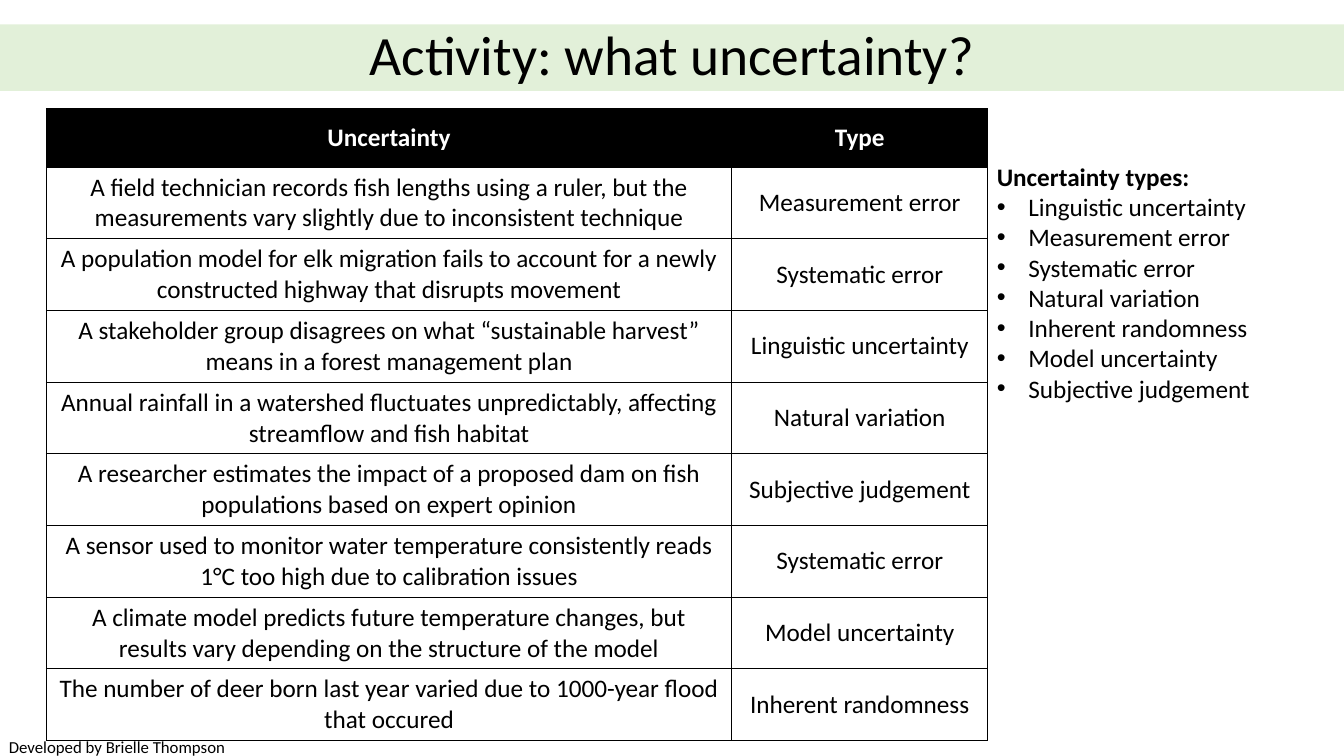
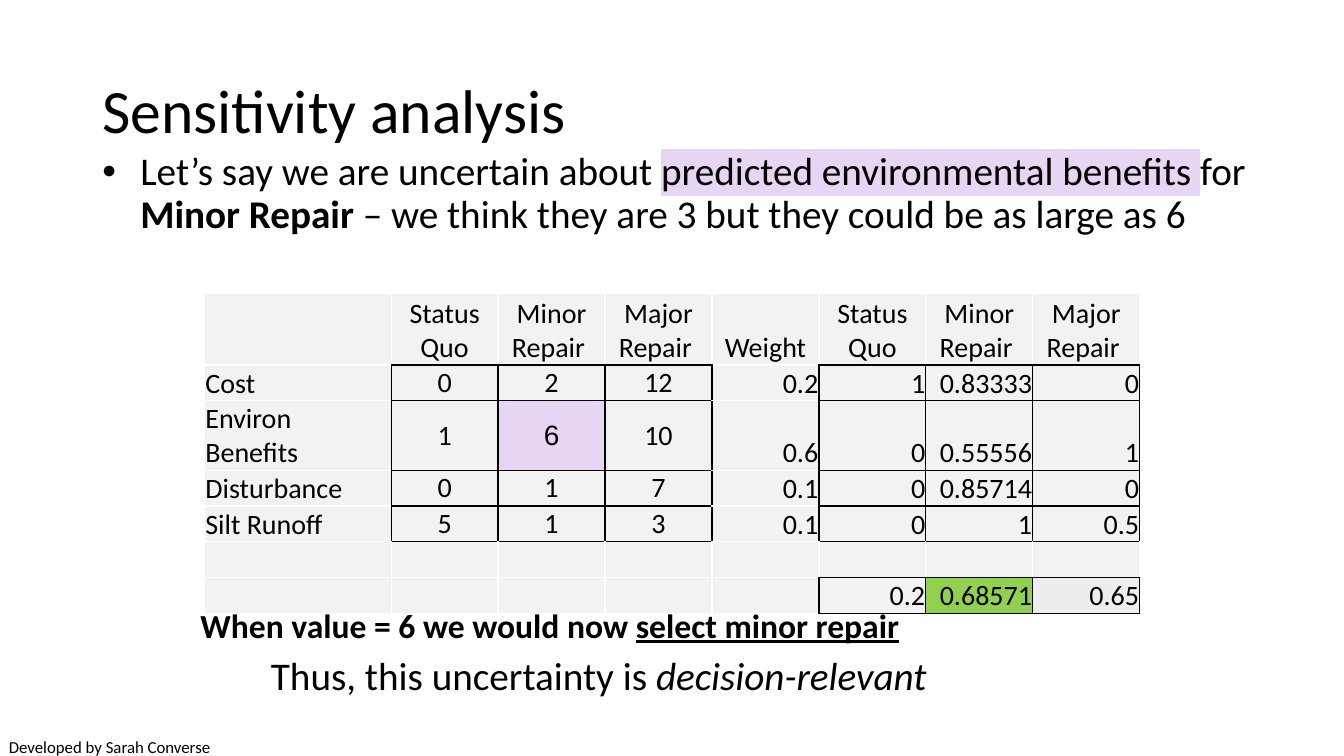
from lxml.etree import SubElement
from pptx import Presentation
from pptx.dml.color import RGBColor
from pptx.enum.text import MSO_ANCHOR, MSO_AUTO_SIZE, PP_ALIGN
from pptx.oxml.ns import qn
from pptx.util import Pt

BLACK, WHITE = "000000", "FFFFFF"
LIGHT_GREEN, GREEN = "E2F0D9", "92D050"
LILAC, GRAY, DARKER_GRAY = "E6D5F3", "F2F2F2", "EDEDED"
SIDES = {"L": (0, -1), "R": (0, 1), "T": (-1, 0), "B": (1, 0)}


def write(para, text, size=18, font="Calibri", color=BLACK, bold=False,
          italic=False, underline=False, highlight=None, align=None):
    if align is not None:
        para.alignment = align
    span = para.add_run()
    span.text = text
    span.font.size = Pt(size)
    span.font.name = font
    span.font.bold = bold
    span.font.italic = italic
    span.font.underline = underline
    span.font.color.rgb = RGBColor.from_string(color)
    if highlight:
        properties = span._r.get_or_add_rPr()
        marker = SubElement(properties, qn("a:highlight"))
        SubElement(marker, qn("a:srgbClr"), val=highlight)
        properties.find(qn("a:solidFill")).addnext(marker)


def outline_cell(cell, colors):
    properties = cell._tc.get_or_add_tcPr()
    for side in SIDES:
        line = SubElement(properties, qn("a:ln" + side), w=str(Pt(1)))
        fill = SubElement(line, qn("a:solidFill"))
        SubElement(fill, qn("a:srgbClr"), val=colors[side])


deck = Presentation()
deck.slide_width, deck.slide_height = Pt(960), Pt(540)

pages = []
for layout, title, size, align, frame in [
    (5, "Activity: what uncertainty?", 39.6, PP_ALIGN.CENTER, (0, 17.5, 960, 47.5)),
    (1, "Sensitivity analysis", 44, PP_ALIGN.LEFT, (66, 29, 828, 104.4)),
]:
    page = deck.slides.add_slide(deck.slide_layouts[layout])
    heading = page.shapes.title
    heading.left, heading.top, heading.width, heading.height = map(Pt, frame)
    heading.text_frame.auto_size = MSO_AUTO_SIZE.NONE
    heading.text_frame.vertical_anchor = MSO_ANCHOR.MIDDLE
    para = heading.text_frame.paragraphs[0]
    para.line_spacing = 0.9
    write(para, title, size=size, align=align)
    pages.append(page)
activity, sensitivity = pages

activity.shapes.title.fill.solid()
activity.shapes.title.fill.fore_color.rgb = RGBColor.from_string(LIGHT_GREEN)

body = sensitivity.placeholders[1]
body.left, body.top, body.width, body.height = Pt(66), Pt(105), Pt(839), Pt(104.4)
body.text_frame.auto_size = MSO_AUTO_SIZE.NONE
para = body.text_frame.paragraphs[0]
para.line_spacing = 0.9
para.space_before = Pt(0)
for text, style in [
    ("Let’s say we are uncertain about ", {}),
    ("predicted environmental benefits ", {"highlight": LILAC}),
    ("for ", {}),
    ("Minor Repair ", {"bold": True}),
    ("– we think they are 3 but they could be as large as 6", {}),
]:
    write(para, text, size=28, **style)

examples = [
    ("Uncertainty", "Type"),
    ("A field technician records fish lengths using a ruler, but the measurements "
     "vary slightly due to inconsistent technique", "Measurement error"),
    ("A population model for elk migration fails to account for a newly constructed "
     "highway that disrupts movement", "Systematic error"),
    ("A stakeholder group disagrees on what “sustainable harvest” means in a forest "
     "management plan", "Linguistic uncertainty"),
    ("Annual rainfall in a watershed fluctuates unpredictably, affecting streamflow "
     "and fish habitat", "Natural variation"),
    ("A researcher estimates the impact of a proposed dam on fish populations based "
     "on expert opinion", "Subjective judgement"),
    ("A sensor used to monitor water temperature consistently reads 1°C too high due "
     "to calibration issues", "Systematic error"),
    ("A climate model predicts future temperature changes, but results vary depending "
     "on the structure of the model", "Model uncertainty"),
    ("The number of deer born last year varied due to 1000-year flood that occured",
     "Inherent randomness"),
]
alternatives = ["Status Quo", "Minor Repair ", "Major Repair "]
scores = [
    ["", *alternatives, "Weight", *alternatives],
    ["Cost", "0", "2", "12", "0.2", "1", "0.83333", "0"],
    ["Environ Benefits", "1", "6", "10", "0.6", "0", "0.55556", "1"],
    ["Disturbance", "0", "1", "7", "0.1", "0", "0.85714", "0"],
    ["Silt Runoff", "5", "1", "3", "0.1", "0", "1", "0.5"],
    [""] * 8,
    [""] * 5 + ["0.2", "0.68571", "0.65"],
]

tables = []
for page, rows, left, top, widths, heights in [
    (activity, examples, 33.1, 77.6, [489.6, 182.9], [41.8] + [51.2] * 8),
    (sensitivity, scores, 146.2, 209.3, [133.2] + [76.4] * 7, [51.4] + [25.6] * 6),
]:
    table = page.shapes.add_table(len(heights), len(widths), Pt(left), Pt(top),
                                  Pt(sum(widths)), Pt(sum(heights))).table
    table.first_row = table.horz_banding = False
    for column, width in zip(table.columns, widths):
        column.width = Pt(width)
    for row, height in zip(table.rows, heights):
        row.height = Pt(height)
    tables.append(table)
example_table, score_table = tables

for row, texts in enumerate(examples):
    for column, text in enumerate(texts):
        cell = example_table.cell(row, column)
        cell.vertical_anchor = MSO_ANCHOR.MIDDLE
        outline_cell(cell, dict.fromkeys(SIDES, BLACK))
        if row == 0:
            cell.fill.solid()
            cell.fill.fore_color.rgb = RGBColor.from_string(BLACK)
        else:
            cell.fill.background()
        write(cell.text_frame.paragraphs[0], text, bold=row == 0,
              color=BLACK if row else WHITE, align=PP_ALIGN.CENTER)

boxed = {(row, column) for row in range(1, 5) for column in (1, 2, 3, 5, 6, 7)}
boxed |= {(6, column) for column in (5, 6, 7)}
special_fills = {(2, 2): LILAC, (6, 6): GREEN, (6, 7): DARKER_GRAY}
for row, texts in enumerate(scores):
    for column, text in enumerate(texts):
        cell = score_table.cell(row, column)
        cell.margin_left = cell.margin_right = cell.margin_top = Pt(0.5)
        cell.margin_bottom = Pt(0)
        outline_cell(cell, {
            side: BLACK if boxed & {(row, column), (row + down, column + across)} else WHITE
            for side, (down, across) in SIDES.items()
        })
        cell.fill.solid()
        cell.fill.fore_color.rgb = RGBColor.from_string(special_fills.get((row, column), GRAY))
        centered = row > 0 and column in (1, 2, 3)
        cell.vertical_anchor = MSO_ANCHOR.MIDDLE if centered else MSO_ANCHOR.BOTTOM
        if row == 0 or centered:
            align = PP_ALIGN.CENTER
        else:
            align = PP_ALIGN.RIGHT if column else PP_ALIGN.LEFT
        if text:
            write(cell.text_frame.paragraphs[0], text, size=20, align=align,
                  font="Arial" if (row, column) == (2, 2) else "Calibri")

types_box = activity.shapes.add_textbox(Pt(704.9), Pt(111.6), Pt(221.8), Pt(203.8))
types_box.text_frame.word_wrap = True
write(types_box.text_frame.paragraphs[0], "Uncertainty types:", bold=True)
for uncertainty_type in [
    "Linguistic uncertainty", "Measurement error", "Systematic error", "Natural variation",
    "Inherent randomness", "Model uncertainty", "Subjective judgement",
]:
    para = types_box.text_frame.add_paragraph()
    properties = para._p.get_or_add_pPr()
    properties.set("marL", str(Pt(22.5)))
    properties.set("indent", str(-Pt(22.5)))
    SubElement(properties, qn("a:buFont"), typeface="Arial")
    SubElement(properties, qn("a:buChar"), char="•")
    write(para, uncertainty_type)

footer_frame = (-0.7, 522.7, 183, 17.3)
for page, frame, size, align, spans in [
    (activity, footer_frame, 12, PP_ALIGN.LEFT, [("Developed by Brielle Thompson", {})]),
    (sensitivity, footer_frame, 12, PP_ALIGN.LEFT, [("Developed by Sarah Converse", {})]),
    (sensitivity, (136.1, 428.4, 550.8, 36), 24, PP_ALIGN.LEFT, [
        ("When value = 6 we would now ", {"bold": True}),
        ("select minor repair", {"bold": True, "underline": True}),
    ]),
    (sensitivity, (136.1, 461.5, 583.2, 41), 28, PP_ALIGN.CENTER, [
        ("Thus, this uncertainty is ", {}),
        ("decision-relevant", {"italic": True}),
    ]),
]:
    box = page.shapes.add_textbox(*map(Pt, frame))
    box.text_frame.word_wrap = True
    for text, style in spans:
        write(box.text_frame.paragraphs[0], text, size=size, align=align, **style)

deck.save("out.pptx")
